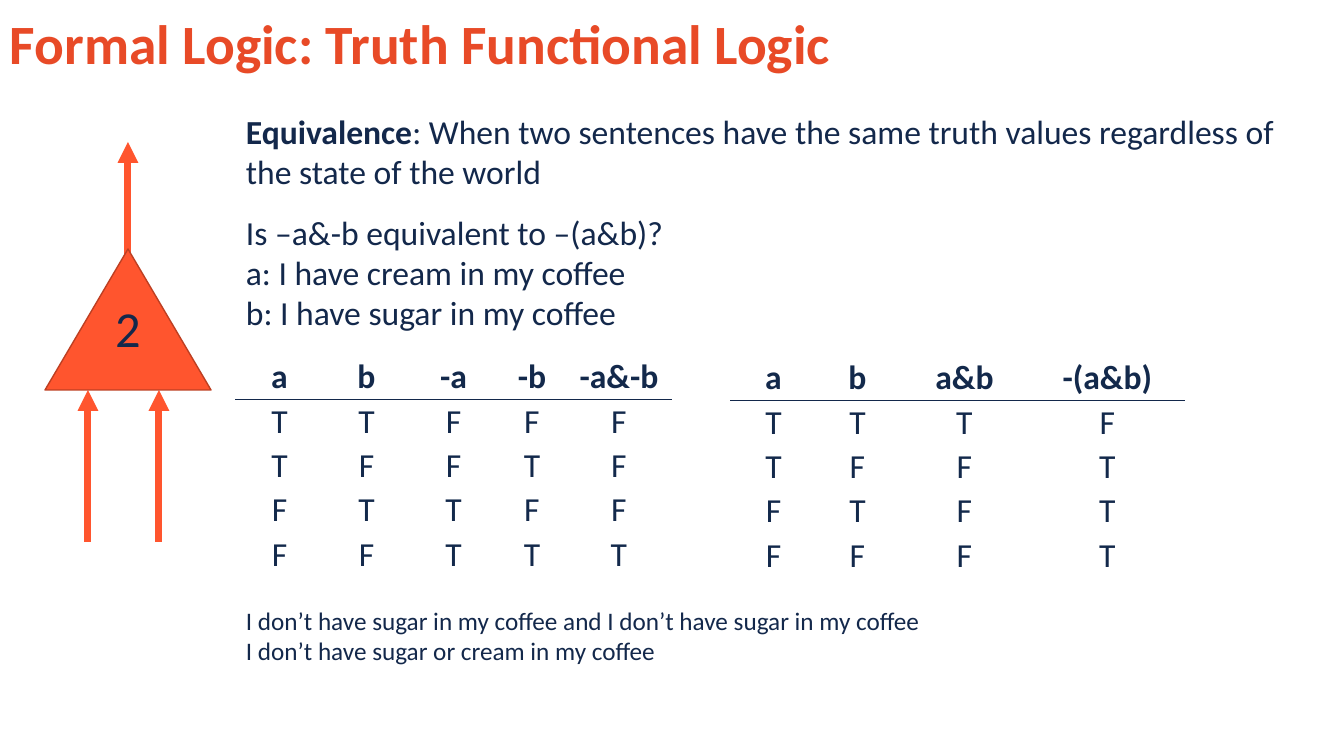
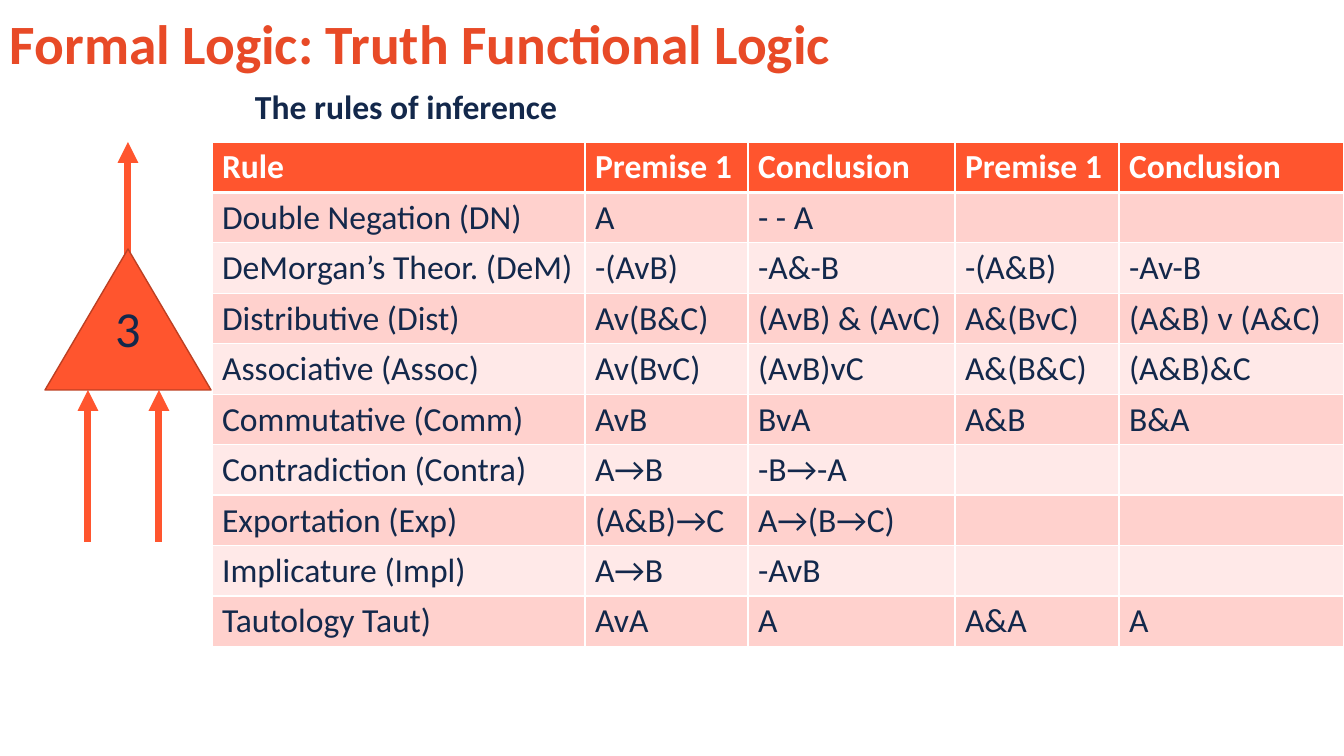
"""Build two slides on truth functional logic."""
from lxml import etree
from pptx import Presentation
from pptx import util as u
from pptx.dml.color import RGBColor
from pptx.enum import shapes, text
from pptx.oxml import ns

HUES = {
    "title": "E84A27", "ink": "13284B", "cell": "13294B", "white": "FFFFFF",
    "fill": "FF552E", "edge": "BD3F22", "dark": "FFD1CD", "light": "FFE9E8",
}
FONT = "Calibri"
TITLE = "Formal Logic: Truth Functional Logic"
LEFT = [
    ["a", "b", "-a", "-b", "-a&-b"],
    ["T", "T", "F", "F", "F"],
    ["T", "F", "F", "T", "F"],
    ["F", "T", "T", "F", "F"],
    ["F", "F", "T", "T", "T"],
]
RIGHT = [
    ["a", "b", "a&b", "-(a&b)"],
    ["T", "T", "T", "F"],
    ["T", "F", "F", "T"],
    ["F", "T", "F", "T"],
    ["F", "F", "F", "T"],
]
RULES = [
    ["Rule", "Premise 1", "Conclusion", "Premise 1", "Conclusion"],
    ["Double Negation (DN)", "A", "- - A", "", ""],
    ["DeMorgan’s Theor. (DeM)", "-(AvB)", "-A&-B", "-(A&B)", "-Av-B"],
    ["Distributive (Dist)", "Av(B&C)", "(AvB) & (AvC)", "A&(BvC)", "(A&B) v (A&C)"],
    ["Associative (Assoc)", "Av(BvC)", "(AvB)vC", "A&(B&C)", "(A&B)&C"],
    ["Commutative (Comm)", "AvB", "BvA", "A&B", "B&A"],
    ["Contradiction (Contra)", "A→B", "-B→-A", "", ""],
    ["Exportation (Exp)", "(A&B)→C", "A→(B→C)", "", ""],
    ["Implicature (Impl)", "A→B", "-AvB", "", ""],
    ["Tautology Taut)", "AvA", "A", "A&A", "A"],
]


def px(size):
    """Turn px into EMU."""
    return u.Emu(round(size * 914400 / 100.8))


def rgb(hue):
    """Look up a colour by name."""
    return RGBColor.from_string(HUES[hue])


def style(run, size, hue, bold=False):
    """Set the look of one run."""
    run.font.name = FONT
    run.font.size = u.Pt(size)
    run.font.bold = bold
    run.font.color.rgb = rgb(hue)


def write(frame, words, size, hue, bold=False):
    """Fill a text frame and format all its runs."""
    frame.text = words
    for para in frame.paragraphs:
        for run in para.runs:
            style(run, size, hue, bold)


def note(slide, box, words, size, hue="ink", bold=False):
    """Add a wrapped text box and return its frame."""
    frame = slide.shapes.add_textbox(*map(px, box)).text_frame
    frame.word_wrap = True
    write(frame, words, size, hue, bold)
    return frame


def title(slide, box):
    """Add the shared title line."""
    frame = note(slide, box, TITLE, 39.6, "title", True)
    frame.vertical_anchor = text.MSO_ANCHOR.MIDDLE
    frame.paragraphs[0].line_spacing = 0.7


def arrow(slide, x, low, high):
    """Draw an arrow that points up."""
    line = slide.shapes.add_connector(
        shapes.MSO_CONNECTOR.STRAIGHT, px(x), px(low), px(x), px(high))
    line.line.color.rgb = rgb("fill")
    line.line.width = u.Pt(5)
    stroke = line.line._get_or_add_ln()
    etree.SubElement(stroke, ns.qn("a:tailEnd"), type="triangle")
    etree.SubElement(line._element.spPr, ns.qn("a:effectLst"))


def gate(slide, box, mark):
    """Draw a numbered triangle with two arrows in and one out."""
    x, y, wide, high = box
    span = 152
    base = y + high
    for off in (43, 114):
        arrow(slide, x + off, base + span, base)
    arrow(slide, x + wide / 2, y + 45, y + 45 - span)
    tri = slide.shapes.add_shape(
        shapes.MSO_SHAPE.ISOSCELES_TRIANGLE, *map(px, box))
    tri.shadow.inherit = False
    tri.fill.solid()
    tri.fill.fore_color.rgb = rgb("fill")
    tri.line.color.rgb = rgb("edge")
    tri.line.width = u.Pt(1)
    frame = tri.text_frame
    write(frame, mark, 36, "ink")
    frame.vertical_anchor = text.MSO_ANCHOR.MIDDLE
    frame.margin_top, frame.margin_bottom = 0, px(54)
    frame.paragraphs[0].alignment = text.PP_ALIGN.CENTER


def edge(cell, side, hue="white", width=1):
    """Draw one border of a cell."""
    props = cell._tc.get_or_add_tcPr()
    line = etree.SubElement(props, ns.qn("a:ln" + side), w=str(u.Pt(width)))
    fill = etree.SubElement(line, ns.qn("a:solidFill"))
    etree.SubElement(fill, ns.qn("a:srgbClr"), val=HUES[hue])


def grid(slide, spot, cols, tall, rows, rule):
    """Add a table with a rule under its head, and return it."""
    size = (sum(cols), tall * len(rows))
    table = slide.shapes.add_table(
        len(rows), len(cols), *map(px, (*spot, *size))).table
    table.horz_banding = False
    for col, wide in zip(table.columns, cols):
        col.width = px(wide)
    for r, row in enumerate(rows):
        table.rows[r].height = px(tall)
        for c, words in enumerate(row):
            cell = table.cell(r, c)
            edge(cell, "L")
            edge(cell, "R")
            edge(cell, "T", *(rule if r == 1 else ()))
            edge(cell, "B", *(rule if r == 0 else ()))
            write(cell.text_frame, words, 24, "cell", r == 0)
    return table


def truth(slide, spot, cols, rows):
    """Add a plain truth table."""
    table = grid(slide, spot, cols, 44, rows, ("ink", 1))
    for cell in table.iter_cells():
        cell.fill.background()
        cell.margin_top = cell.margin_bottom = px(2)
        cell.text_frame.paragraphs[0].alignment = text.PP_ALIGN.CENTER


def rules(slide, spot, cols, rows):
    """Add the banded table of rules."""
    table = grid(slide, spot, cols, 50, rows, ("white", 3))
    for r in range(len(rows)):
        for c in range(len(cols)):
            cell = table.cell(r, c)
            cell.fill.solid()
            band = "dark" if r % 2 else "light"
            cell.fill.fore_color.rgb = rgb(band if r else "fill")
            for run in cell.text_frame.paragraphs[0].runs:
                run.font.color.rgb = rgb("ink" if r else "white")


def start(deck):
    """Add a blank slide with the shared title."""
    slide = deck.slides.add_slide(deck.slide_layouts[6])
    title(slide, (0, 20, 1266, 62))
    return slide


def equal(deck):
    """Build the slide on equivalence."""
    slide = start(deck)
    frame = note(slide, (236, 106, 1062, 234), "\n".join([
        "Equivalence",
        "Is –a&-b equivalent to –(a&b)?",
        "a: I have cream in my coffee",
        "b: I have sugar in my coffee",
    ]), 24)
    head, ask = frame.paragraphs[:2]
    head.runs[0].font.bold = True
    rest = head.add_run()
    rest.text = (": When two sentences have the same truth values "
                 "regardless of the state of the world")
    style(rest, 24, "ink")
    ask.space_before = u.Pt(14.4)
    truth(slide, (236, 355), (87, 87, 87, 70, 104), LEFT)
    truth(slide, (731, 356), (85, 83, 131, 155), RIGHT)
    note(slide, (236, 600, 810, 72), "\n".join([
        "I don’t have sugar in my coffee and I don’t have sugar in my coffee",
        "I don’t have sugar or cream in my coffee",
    ]), 18)
    gate(slide, (45, 249, 166, 141), "2")


def infer(deck):
    """Build the slide on the rules of inference."""
    slide = start(deck)
    note(slide, (245, 81, 1054, 50), "The rules of inference", 24, bold=True)
    rules(slide, (212, 142), (373, 163, 207, 164, 225), RULES)
    gate(slide, (45, 249, 166, 141), "3")


def main():
    """Build and save the deck."""
    deck = Presentation()
    deck.slide_width, deck.slide_height = px(1344), px(756)
    equal(deck)
    infer(deck)
    deck.save("out.pptx")


if __name__ == "__main__":
    main()
